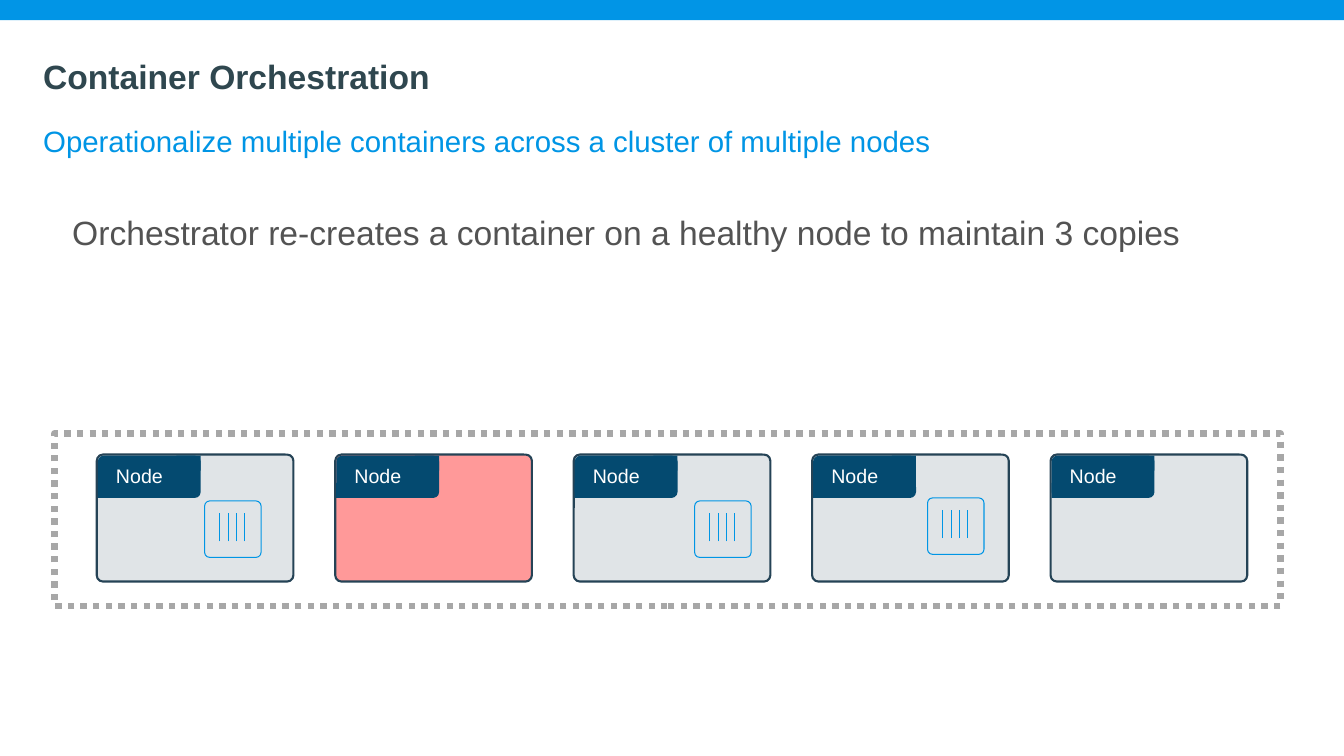
from dataclasses import dataclass

from lxml import etree
from pptx import Presentation
from pptx.dml.color import RGBColor
from pptx.enum import dml, shapes, text
from pptx.oxml import ns
from pptx.util import Inches, Pt

TITLE = "Container Orchestration"
SUBTITLE = "Operationalize multiple containers across a cluster of multiple nodes"
MESSAGE = "Orchestrator re-creates a container on a healthy node to maintain 3 copies"

# Each node: label, healthy, position of its container (left, top) or None
NODES = [
    ("Node", True, (2.03, 4.97)),
    ("Node", False, None),
    ("Node", True, (6.89, 4.97)),
    ("Node", True, (9.2, 4.94)),
    ("Node", True, None),
]
NODE_LEFT, NODE_TOP, NODE_PITCH = 0.96, 4.51, 2.365
NODE_W, NODE_H = 1.95, 1.26
TAB_W, TAB_H = 1.02, 0.42
CORNER_W, CORNER_H = 0.24, 0.15
CONTAINER_SIZE = 0.56
BAR_COUNT, BAR_LEFT, BAR_PITCH, BAR_TOP, BAR_H = 4, 0.15, 0.083, 0.12, 0.28


@dataclass(frozen=True)
class Theme:
    font: str = "Arial"
    banner: str = "0195E6"
    title: str = "2F474F"
    accent: str = "0095E5"
    message: str = "535353"
    node: str = "E0E4E7"
    failed: str = "FF0000"
    failed_alpha: int = 40
    node_line: str = "254356"
    tab: str = "044A70"
    label: str = "FFFFFF"
    cluster: str = "A7A7A7"
    title_size: int = 24
    subtitle_size: int = 21
    message_size: int = 24
    label_size: int = 14


THEME = Theme()
RECT = shapes.MSO_SHAPE.RECTANGLE
ROUND = shapes.MSO_SHAPE.ROUNDED_RECTANGLE


def add_box(parent, kind, box, fill=None, line=None, width=1, radius=None):
    """Add a preset shape; fill or line is left off when None."""
    sp = parent.add_shape(kind, *map(Inches, box))
    sp.shadow.inherit = False
    if radius is not None:
        sp.adjustments[0] = radius
    if fill:
        sp.fill.solid()
        sp.fill.fore_color.rgb = RGBColor.from_string(fill)
    else:
        sp.fill.background()
    if line:
        sp.line.color.rgb = RGBColor.from_string(line)
        sp.line.width = Pt(width)
    else:
        sp.line.fill.background()
    return sp


def add_text(parent, box, content, size, color, inset, bold=False, wrap=True,
             anchor=text.MSO_ANCHOR.TOP, align=text.PP_ALIGN.LEFT):
    tf = parent.add_textbox(*map(Inches, box)).text_frame
    tf.word_wrap = wrap
    tf.vertical_anchor = anchor
    tf.margin_left = tf.margin_right = Inches(inset)
    tf.margin_top = tf.margin_bottom = Inches(inset)
    tf.text = content
    p = tf.paragraphs[0]
    p.alignment = align
    font = p.runs[0].font
    font.name, font.size, font.bold = THEME.font, Pt(size), bold
    font.color.rgb = RGBColor.from_string(color)
    return tf


def set_alpha(sp, percent):
    color = sp.fill._xPr.find(".//" + ns.qn("a:srgbClr"))
    etree.SubElement(color, ns.qn("a:alpha")).set("val", str(percent * 1000))


def add_node(slide, left, label, healthy):
    group = slide.shapes.add_group_shape().shapes
    body = add_box(group, ROUND, (left, NODE_TOP, NODE_W, NODE_H),
                   THEME.node if healthy else THEME.failed,
                   THEME.node_line, 1.5, 0.049)
    if not healthy:
        set_alpha(body, THEME.failed_alpha)
    tab_left, tab_top = left + 0.01, NODE_TOP + 0.01
    add_box(group, ROUND, (tab_left, tab_top, TAB_W, TAB_H), THEME.tab, radius=0.14)
    # Square off the top right and bottom left corners of the tab
    for x, y in ((TAB_W - CORNER_W, 0), (0, TAB_H - CORNER_H)):
        add_box(group, RECT, (tab_left + x, tab_top + y, CORNER_W, CORNER_H), THEME.tab)
    add_text(group, (left + 0.06, NODE_TOP - 0.03, 0.94, 0.48), label,
             THEME.label_size, THEME.label, 0.13)


def add_container(slide, left, top):
    group = slide.shapes.add_group_shape().shapes
    add_box(group, ROUND, (left, top, CONTAINER_SIZE, CONTAINER_SIZE),
            line=THEME.accent, width=0.75, radius=0.09)
    for i in range(BAR_COUNT):
        x = left + BAR_LEFT + i * BAR_PITCH
        y = top + BAR_TOP
        bar = group.add_connector(shapes.MSO_CONNECTOR.STRAIGHT,
                                  *map(Inches, (x, y + BAR_H, x, y)))
        bar.line.color.rgb = RGBColor.from_string(THEME.accent)
        bar.line.width = Pt(0.75)
        etree.SubElement(bar._element.spPr, ns.qn("a:effectLst"))


def main():
    prs = Presentation()
    prs.slide_width, prs.slide_height = Inches(13.33), Inches(7.5)
    slide = prs.slides.add_slide(prs.slide_layouts[6])

    add_box(slide.shapes, RECT, (0, 0, 13.33, 0.2), THEME.banner)
    add_text(slide.shapes, (0.33, 0.4, 12.38, 0.71), TITLE, THEME.title_size,
             THEME.title, 0.1, bold=True, anchor=text.MSO_ANCHOR.MIDDLE)
    add_text(slide.shapes, (0.33, 1.12, 12.37, 0.47), SUBTITLE,
             THEME.subtitle_size, THEME.accent, 0.1)
    for i, (label, healthy, _) in enumerate(NODES):
        add_node(slide, NODE_LEFT + i * NODE_PITCH, label, healthy)
    message = add_text(slide.shapes, (0.62, 2.06, 11.18, 0.48), MESSAGE,
                       THEME.message_size, THEME.message, 0.04, wrap=False,
                       align=text.PP_ALIGN.CENTER)
    message.auto_size = text.MSO_AUTO_SIZE.SHAPE_TO_FIT_TEXT
    for _, _, container in NODES:
        if container:
            add_container(slide, *container)
    cluster = add_box(slide.shapes, RECT, (0.54, 4.3, 12.16, 1.71),
                      line=THEME.cluster, width=4.5)
    cluster.line.dash_style = dml.MSO_LINE.ROUND_DOT

    prs.save("out.pptx")


if __name__ == "__main__":
    main()
